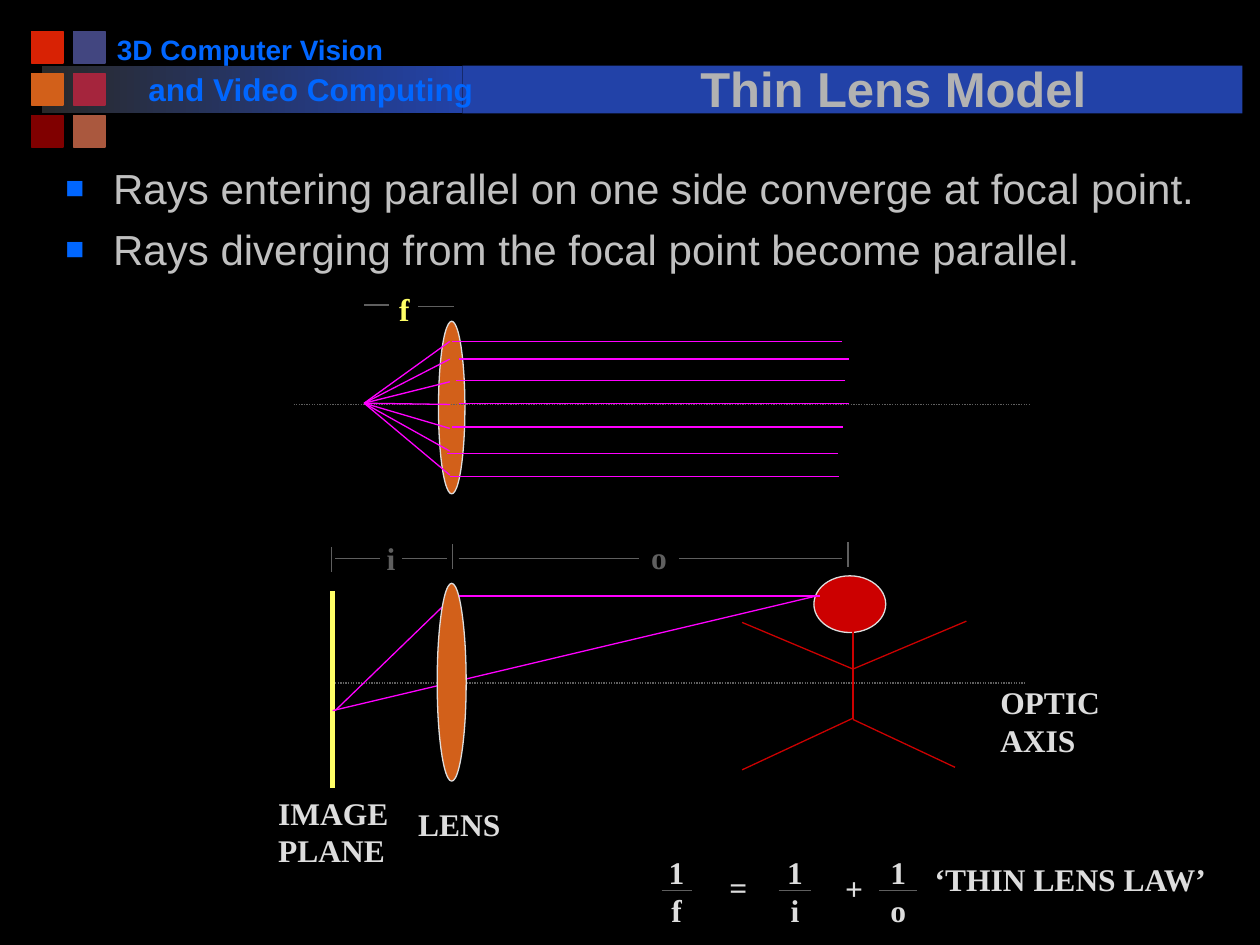
"""Build the Thin Lens Model slide."""
from dataclasses import dataclass
from typing import Optional

from lxml import etree
from pptx import Presentation
from pptx.dml.color import RGBColor
from pptx.enum import dml, shapes, text
from pptx.oxml import ns
from pptx.util import Inches, Pt

BLACK = RGBColor(0x00, 0x00, 0x00)
CHARCOAL = RGBColor(0x29, 0x29, 0x29)
NAVY = RGBColor(0x22, 0x42, 0xA8)
BLUE = RGBColor(0x00, 0x66, 0xFF)
ORANGE = RGBColor(0xD2, 0x60, 0x1A)
RED = RGBColor(0xCC, 0x00, 0x00)
MAGENTA = RGBColor(0xFF, 0x00, 0xFF)
YELLOW = RGBColor(0xFF, 0xFF, 0x66)
GRAY = RGBColor(0x5F, 0x5F, 0x5F)
LIGHT = RGBColor(0xDD, 0xDD, 0xDD)
TITLE_GRAY = RGBColor(0xB2, 0xB2, 0xB2)
BODY_GRAY = RGBColor(0xC0, 0xC0, 0xC0)
SWATCHES = [
    (RGBColor(0xD8, 0x22, 0x04), RGBColor(0x42, 0x46, 0x80)),
    (ORANGE, RGBColor(0xA5, 0x25, 0x3D)),
    (RGBColor(0x80, 0x00, 0x00), RGBColor(0xAA, 0x58, 0x3E)),
]
SERIF = "Times New Roman"
SANS = "Arial"
RECTANGLE = shapes.MSO_SHAPE.RECTANGLE
OVAL = shapes.MSO_SHAPE.OVAL


@dataclass
class Figure:
    kind: int
    left: float
    top: float
    width: float
    height: float
    fill: RGBColor
    outline: Optional[RGBColor] = None
    weight: float = 0.75


@dataclass
class Segment:
    x1: float
    y1: float
    x2: float
    y2: float
    color: RGBColor = GRAY
    weight: float = 0.75
    dotted: bool = False


@dataclass
class Label:
    lines: tuple
    left: float
    top: float
    width: float
    height: float = 0.4
    color: RGBColor = LIGHT
    size: float = 18
    font: str = SERIF
    centered: bool = False


@dataclass
class Ray:
    lens_x: float
    far_x: float
    y: float
    bend_y: float


@dataclass
class Fraction:
    denominator: str
    bar_left: float
    bar_right: float


FOCUS = (2.89, 3.2)
RAYS = [
    Ray(3.59, 6.68, 2.71, 2.71), Ray(3.64, 6.74, 2.85, 2.85),
    Ray(3.62, 6.71, 3.02, 3.03), Ray(3.64, 6.74, 3.2, 3.21),
    Ray(3.59, 6.69, 3.39, 3.4), Ray(3.55, 6.65, 3.6, 3.58),
    Ray(3.57, 6.66, 3.78, 3.77),
]
STICK_FIGURE = [
    Segment(6.77, 5.01, 6.77, 5.71, RED),
    Segment(6.77, 5.31, 7.67, 4.93, RED),
    Segment(6.77, 5.31, 5.89, 4.94, RED),
    Segment(6.77, 5.7, 5.89, 6.11, RED),
    Segment(6.77, 5.71, 7.58, 6.09, RED),
]
IMAGE_RAYS = [
    Segment(6.48, 4.73, 2.64, 5.64, MAGENTA),
    Segment(6.51, 4.73, 3.6, 4.73, MAGENTA),
    Segment(3.6, 4.73, 2.66, 5.64, MAGENTA),
]
FOCAL_MARKS = [Segment(3.32, 2.43, 3.6, 2.43), Segment(2.89, 2.42, 3.09, 2.42)]
DISTANCE_TICKS = [Segment(x, y, x, y + 0.2) for x, y in ((2.63, 4.34), (3.59, 4.32), (6.73, 4.3))]
DISTANCE_BARS = [
    Segment(start, 4.43, end, 4.43)
    for start, end in ((2.66, 3.02), (3.19, 3.55), (3.64, 5.07), (5.39, 6.68))
]
FRACTIONS = [Fraction("f", 5.25, 5.49), Fraction("i", 6.18, 6.44), Fraction("o", 6.98, 7.28)]
LABELS = [
    Label(("3D Computer Vision",), 0.83, 0.21, 2.32, 0.37, BLUE, 16, SANS),
    Label(("and Video Computing",), 1.08, 0.51, 2.83, 0.4, BLUE, 18, SANS),
    Label(("f",), 3.07, 2.25, 0.29, color=YELLOW),
    Label(("i",), 2.97, 4.23, 0.27, color=GRAY),
    Label(("o",), 5.07, 4.22, 0.33, color=GRAY),
    Label(("IMAGE", "PLANE"), 2.11, 6.25, 1.08, 0.7),
    Label(("OPTIC", "AXIS"), 7.84, 5.37, 0.99, 0.7),
    Label(("LENS",), 3.22, 6.34, 0.85),
    Label(("=",), 5.69, 6.84, 0.34),
    Label(("+",), 6.61, 6.85, 0.34),
    Label(("‘THIN LENS LAW’",), 7.32, 6.78, 2.38),
]
BULLETS = [
    "Rays entering parallel on one side converge at focal point.",
    "Rays diverging from the focal point become parallel.",
]


def draw_figure(slide, figure: Figure):
    box = map(Inches, (figure.left, figure.top, figure.width, figure.height))
    shape = slide.shapes.add_shape(figure.kind, *box)
    shape.shadow.inherit = False
    shape.fill.solid()
    shape.fill.fore_color.rgb = figure.fill
    if figure.outline is None:
        shape.line.fill.background()
    else:
        shape.line.color.rgb = figure.outline
        shape.line.width = Pt(figure.weight)
    return shape


def draw_segment(slide, segment: Segment) -> None:
    ends = map(Inches, (segment.x1, segment.y1, segment.x2, segment.y2))
    connector = slide.shapes.add_connector(shapes.MSO_CONNECTOR.STRAIGHT, *ends)
    connector.line.color.rgb = segment.color
    connector.line.width = Pt(segment.weight)
    if segment.dotted:
        connector.line.dash_style = dml.MSO_LINE.ROUND_DOT
    etree.SubElement(connector._element.spPr, ns.qn("a:effectLst"))


def add_run(paragraph, words: str, size: float, font: str, color: RGBColor, bold: bool):
    run = paragraph.add_run()
    run.text = words
    run.font.size = Pt(size)
    run.font.name = font
    run.font.bold = bold
    run.font.color.rgb = color
    return run


def draw_label(slide, label: Label) -> None:
    box = map(Inches, (label.left, label.top, label.width, label.height))
    frame = slide.shapes.add_textbox(*box).text_frame
    frame.word_wrap = label.centered
    frame.auto_size = text.MSO_AUTO_SIZE.SHAPE_TO_FIT_TEXT
    for index, words in enumerate(label.lines):
        paragraph = frame.add_paragraph() if index else frame.paragraphs[0]
        if label.centered:
            paragraph.alignment = text.PP_ALIGN.CENTER
        add_run(paragraph, words, label.size, label.font, label.color, True)


def draw_fraction(slide, fraction: Fraction) -> None:
    middle = (fraction.bar_left + fraction.bar_right) / 2
    draw_label(slide, Label(("1", fraction.denominator), middle - 0.2, 6.72, 0.4, 0.7, centered=True))
    draw_segment(slide, Segment(fraction.bar_left, 7.07, fraction.bar_right, 7.07))


def draw_header(slide) -> None:
    band = draw_figure(slide, Figure(RECTANGLE, 0.33, 0.52, 3.34, 0.38, NAVY))
    band.fill.gradient()
    band.fill.gradient_angle = 0
    for stop, color, position in zip(band.fill.gradient_stops, (CHARCOAL, NAVY), (0, 1)):
        stop.color.rgb = color
        stop.position = position
    for row, colors in enumerate(SWATCHES):
        for column, color in enumerate(colors):
            left, top = 0.25 + column / 3, 0.25 + row / 3
            draw_figure(slide, Figure(RECTANGLE, left, top, 0.25, 0.25, color, color, 1))
    draw_figure(slide, Figure(RECTANGLE, 3.67, 0.52, 6.19, 0.38, NAVY))


def draw_title(slide) -> None:
    frame = slide.shapes.add_textbox(Inches(4.24), Inches(0.31), Inches(5.7), Inches(0.67)).text_frame
    frame.word_wrap = True
    frame.vertical_anchor = text.MSO_ANCHOR.BOTTOM
    paragraph = frame.paragraphs[0]
    paragraph.alignment = text.PP_ALIGN.CENTER
    run = add_run(paragraph, "Thin Lens Model", 28, SANS, TITLE_GRAY, True)
    effects = etree.Element(ns.qn("a:effectLst"))
    shadow = etree.SubElement(effects, ns.qn("a:outerShdw"), dist="35921", dir="2700000")
    etree.SubElement(shadow, ns.qn("a:srgbClr"), val=str(BLACK))
    run.font._element.find(ns.qn("a:solidFill")).addnext(effects)


def draw_bullets(slide) -> None:
    frame = slide.shapes.add_textbox(Inches(0.42), Inches(1.24), Inches(9.33), Inches(2.58)).text_frame
    frame.word_wrap = True
    for index, words in enumerate(BULLETS):
        paragraph = frame.add_paragraph() if index else frame.paragraphs[0]
        paragraph.space_before = Pt(6)
        add_run(paragraph, words, 24, SANS, BODY_GRAY, False)
        properties = paragraph._p.get_or_add_pPr()
        properties.set("marL", str(Inches(0.38)))
        properties.set("indent", str(-Inches(0.38)))
        bullet_color = etree.SubElement(properties, ns.qn("a:buClr"))
        etree.SubElement(bullet_color, ns.qn("a:srgbClr"), val=str(BLUE))
        etree.SubElement(properties, ns.qn("a:buSzPct"), val="75000")
        etree.SubElement(properties, ns.qn("a:buFont"), typeface=SANS)
        etree.SubElement(properties, ns.qn("a:buChar"), char="■")


def main() -> None:
    presentation = Presentation()
    presentation.slide_width, presentation.slide_height = Inches(10), Inches(7.5)
    slide = presentation.slides.add_slide(presentation.slide_layouts[6])
    slide.background.fill.solid()
    slide.background.fill.fore_color.rgb = BLACK
    draw_header(slide)
    draw_figure(slide, Figure(OVAL, 3.48, 2.55, 0.21, 1.37, ORANGE, LIGHT))
    draw_segment(slide, Segment(2.33, 3.21, 8.17, 3.21, dotted=True))
    for ray in RAYS:
        draw_segment(slide, Segment(ray.far_x, ray.y, ray.lens_x, ray.y, MAGENTA))
        draw_segment(slide, Segment(3.57, ray.bend_y, *FOCUS, MAGENTA))
    draw_segment(slide, Segment(2.64, 4.69, 2.64, 6.25, YELLOW, 3))
    draw_segment(slide, Segment(2.66, 5.42, 8.13, 5.42, dotted=True))
    draw_figure(slide, Figure(OVAL, 6.46, 4.57, 0.57, 0.45, RED, LIGHT))
    for segment in STICK_FIGURE + IMAGE_RAYS:
        draw_segment(slide, segment)
    draw_figure(slide, Figure(OVAL, 3.47, 4.63, 0.23, 1.57, ORANGE, LIGHT))
    for segment in FOCAL_MARKS + DISTANCE_TICKS + DISTANCE_BARS:
        draw_segment(slide, segment)
    for label in LABELS:
        draw_label(slide, label)
    for fraction in FRACTIONS:
        draw_fraction(slide, fraction)
    draw_title(slide)
    draw_bullets(slide)
    presentation.save("out.pptx")


if __name__ == "__main__":
    main()
